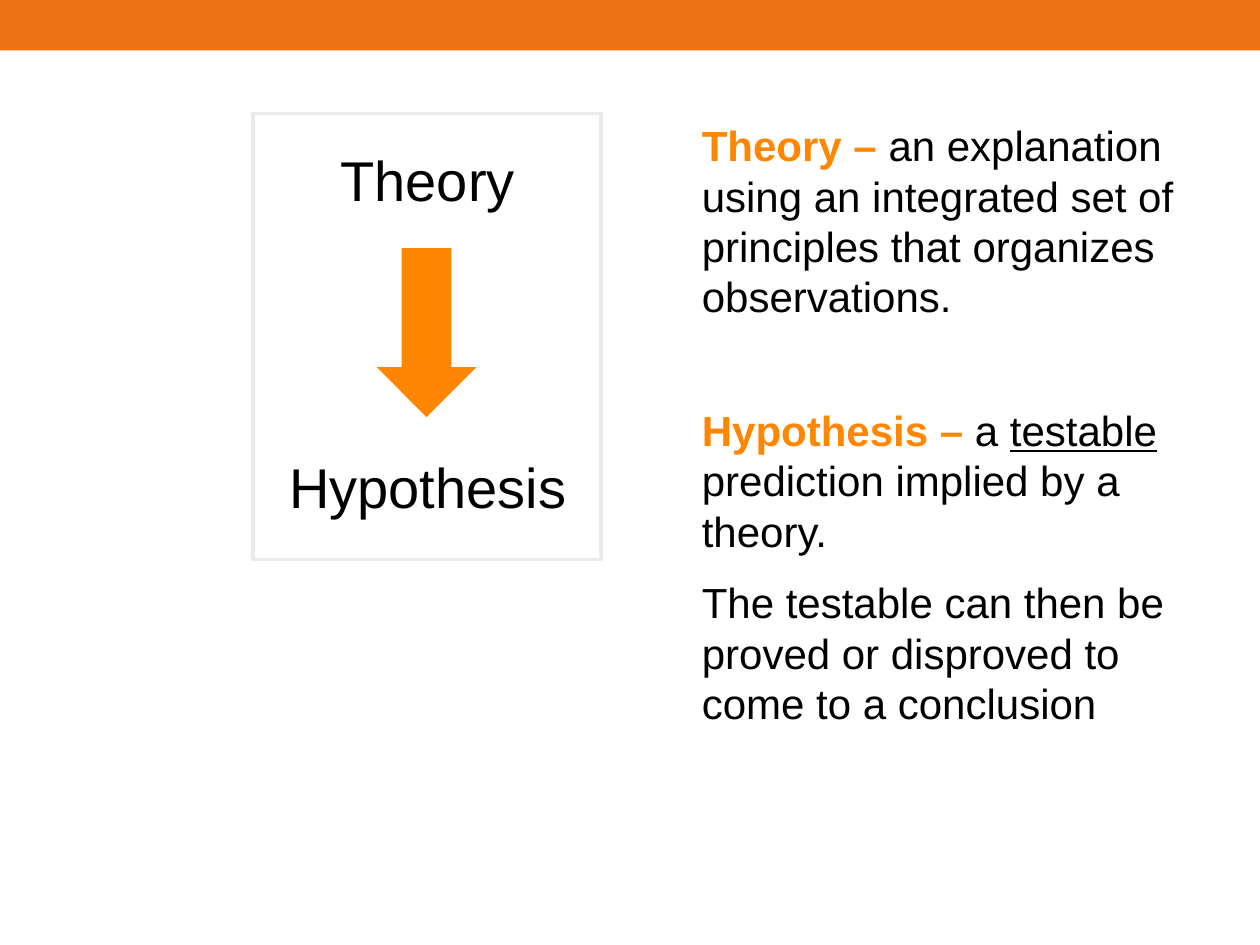
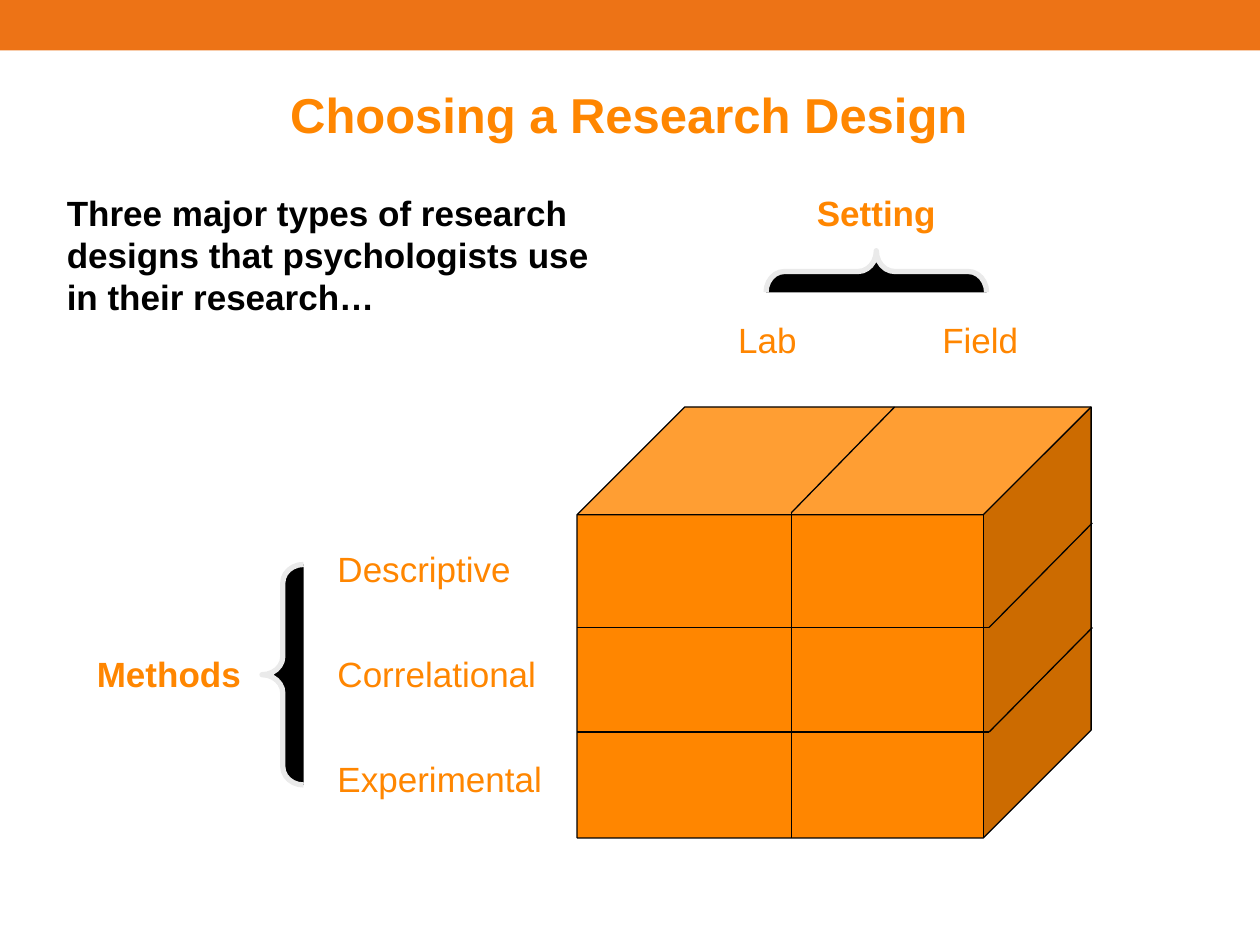
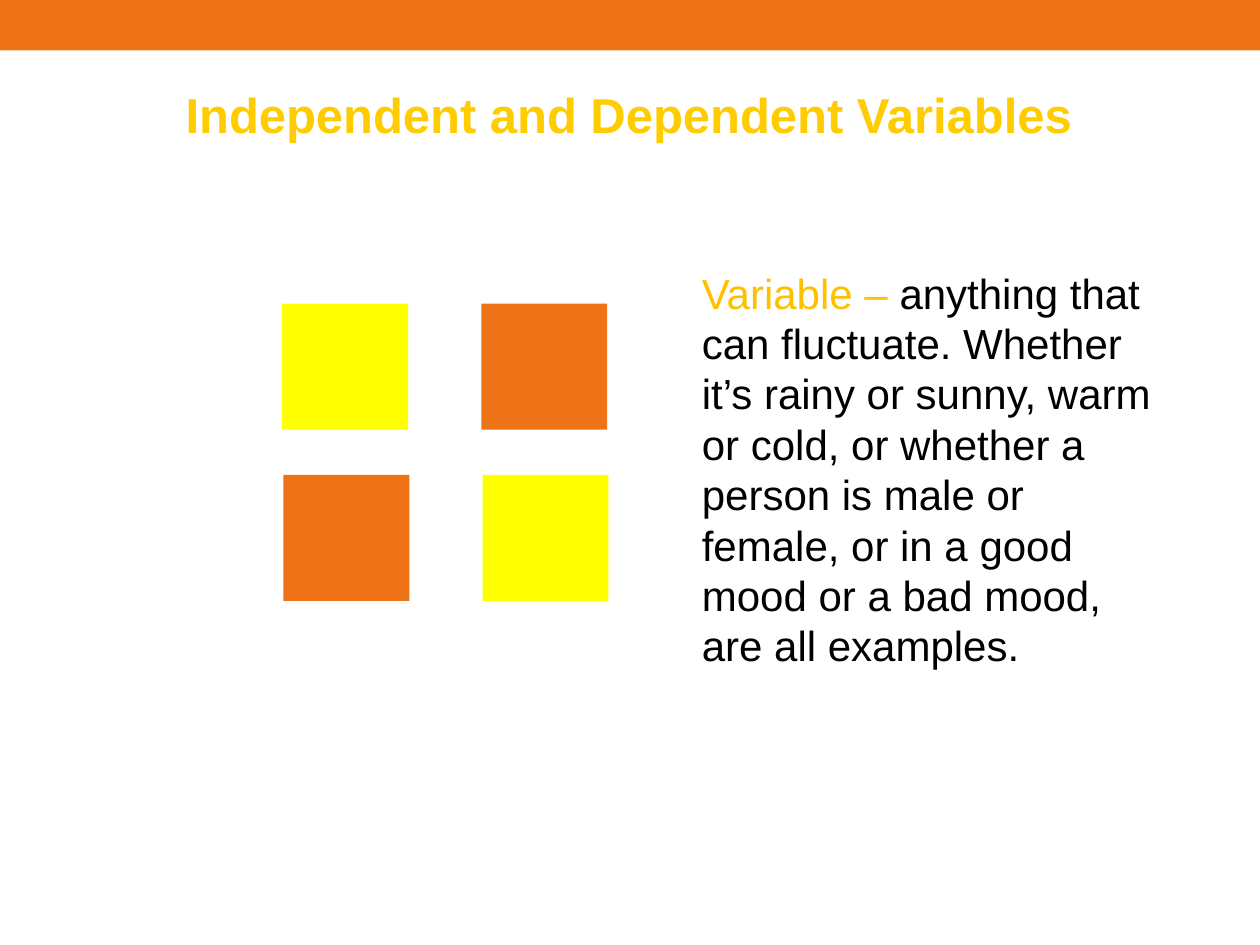
from dataclasses import dataclass
from itertools import pairwise

from lxml import etree
from pptx import Presentation
from pptx.dml.color import RGBColor
from pptx.enum import shapes, text
from pptx.oxml import ns
from pptx.util import Inches, Pt

LEFT, CENTER = text.PP_ALIGN.LEFT, text.PP_ALIGN.CENTER
SHAPE = shapes.MSO_SHAPE


@dataclass(frozen=True)
class Theme:
    font: str = "Arial"
    band: str = "ED7316"
    accent: str = "FF8600"
    gold: str = "FFCC00"
    amber: str = "FFC000"
    yellow: str = "FFFF00"
    ink: str = "000000"
    outline: str = "EAEAEA"
    title_size: int = 28
    concept_size: int = 32
    body_size: int = 24
    label_size: int = 20
    paragraph_gap: int = 12


@dataclass(frozen=True)
class Span:
    """A stretch of text with its own colour and emphasis."""
    text: str
    color: str
    bold: bool = False
    underline: bool = False


class Deck:
    def __init__(self, theme):
        self.theme = theme
        self.presentation = Presentation()
        self.presentation.slide_width = Inches(10)
        self.presentation.slide_height = Inches(7.5)
        self.slide = None

    def new_slide(self, layout_name):
        layout = self.presentation.slide_layouts.get_by_name(layout_name)
        self.slide = self.presentation.slides.add_slide(layout)

    def add_master_band(self):
        """Draw the top band and move it behind everything on the master."""
        band = self.shape(SHAPE.RECTANGLE, 0, 0, 10, 0.4, fill=self.theme.band)
        band._element.nvSpPr.cNvPr.set("id", "20")
        self.presentation.slide_master.shapes._spTree.insert(2, band._element)

    def place(self, shape, left, top, width, height):
        shape.left, shape.top = Inches(left), Inches(top)
        shape.width, shape.height = Inches(width), Inches(height)

    def fill_text(self, frame, paragraphs, size, align=LEFT):
        """Fill a text frame; each paragraph is a list of spans."""
        frame.word_wrap = True
        frame.auto_size = text.MSO_AUTO_SIZE.NONE
        frame.vertical_anchor = text.MSO_ANCHOR.TOP
        for index, spans in enumerate(paragraphs):
            paragraph = frame.add_paragraph() if index else frame.paragraphs[0]
            paragraph.alignment = align
            paragraph.space_before = Pt(self.theme.paragraph_gap if index else 0)
            properties = paragraph._p.get_or_add_pPr()
            properties.set("marL", "0")
            properties.set("indent", "0")
            etree.SubElement(properties, ns.qn("a:buNone"))
            paragraph.font.name = self.theme.font
            paragraph.font.size = Pt(size)
            for span in spans:
                run = paragraph.add_run()
                run.text = span.text
                run.font.color.rgb = RGBColor.from_string(span.color)
                run.font.bold = span.bold
                run.font.underline = span.underline

    def title(self, words, color):
        title = self.slide.shapes.title
        self.place(title, 0.74, 0.62, 8.5, 1.25)
        self.fill_text(title.text_frame, [[Span(words, color, bold=True)]],
                       self.theme.title_size, CENTER)

    def body(self, index, box, paragraphs, size):
        body = self.slide.placeholders[index]
        self.place(body, *box)
        self.fill_text(body.text_frame, paragraphs, size)

    def label(self, words, left, top, width, height=0.43, size=None,
              color=None, bold=False, align=LEFT):
        label = self.slide.shapes.add_textbox(
            Inches(left), Inches(top), Inches(width), Inches(height))
        span = Span(words, color or self.theme.accent, bold)
        self.fill_text(label.text_frame, [[span]],
                       size or self.theme.label_size, align)

    def shape(self, kind, left, top, width, height, fill=None, line=None, weight=0.75):
        shape = self.slide.shapes.add_shape(
            kind, Inches(left), Inches(top), Inches(width), Inches(height))
        shape.shadow.inherit = False
        if fill:
            shape.fill.solid()
            shape.fill.fore_color.rgb = RGBColor.from_string(fill)
        else:
            shape.fill.background()
        if line:
            shape.line.color.rgb = RGBColor.from_string(line)
            shape.line.width = Pt(weight)
        else:
            shape.line.fill.background()
        return shape

    def brace(self, left, top, rotation=0):
        brace = self.shape(SHAPE.LEFT_BRACE, left, top, 0.33, 1.75,
                           self.theme.ink, self.theme.outline, 3)
        brace.adjustments[0] = 0.44
        brace.rotation = rotation

    def seam(self, *points):
        """Join the points in turn with thin lines."""
        for start, end in pairwise(points):
            line = self.slide.shapes.add_connector(
                shapes.MSO_CONNECTOR.STRAIGHT, *map(Inches, start + end))
            line.line.color.rgb = RGBColor.from_string(self.theme.ink)
            line.line.width = Pt(0.75)
            etree.SubElement(line._element.spPr, ns.qn("a:effectLst"))


def theory_slide(deck):
    theme = deck.theme
    deck.new_slide("Two Content")
    heading = deck.slide.shapes.title._element
    heading.getparent().remove(heading)
    deck.add_master_band()

    deck.body(1, (5.47, 0.9, 4.1, 2.2), [[
        Span("Theory – ", theme.accent, bold=True),
        Span("an explanation using an integrated set of principles "
             "that organizes observations.", theme.ink),
    ]], theme.body_size)
    deck.body(2, (5.47, 3.16, 4.1, 3.94), [
        [Span("Hypothesis – ", theme.accent, bold=True),
         Span("a ", theme.ink),
         Span("testable", theme.ink, underline=True),
         Span(" prediction implied by a theory.", theme.ink)],
        [Span("The testable can then be proved or disproved "
              "to come to a conclusion", theme.ink)],
    ], theme.body_size)

    for concept, top in (("Theory", 1.11), ("Hypothesis", 3.54)):
        deck.label(concept, 2.12, top, 2.55, 0.64, theme.concept_size,
                   theme.ink, align=CENTER)
    deck.shape(SHAPE.DOWN_ARROW, 2.99, 1.97, 0.79, 1.34, fill=theme.accent)
    deck.shape(SHAPE.RECTANGLE, 2.01, 0.9, 2.76, 3.54,
               line=theme.outline, weight=2.08)


def design_slide(deck):
    theme = deck.theme
    deck.new_slide("Title and Content")
    deck.title("Choosing a Research Design", theme.accent)
    deck.body(1, (0.43, 1.47, 4.57, 1.11), [[
        Span("Three major types of research designs that psychologists "
             "use in their research…", theme.ink, bold=True),
    ]], theme.label_size)

    deck.shape(SHAPE.CUBE, 4.58, 3.23, 4.08, 3.42, theme.accent, theme.ink)
    for row in (4.98, 5.81):
        deck.seam((4.58, row), (7.85, row), (8.67, row - 0.83))
    deck.seam((6.28, 6.65), (6.28, 4.07), (7.1, 3.23))

    deck.label("Methods", 0.67, 5.13, 1.5, bold=True)
    deck.brace(2.08, 4.48)
    for index, method in enumerate(("Descriptive", "Correlational", "Experimental")):
        deck.label(method, 2.58, 4.3 + index * 0.83, 2.42)

    deck.label("Setting", 6.29, 1.47, 1.33, bold=True, align=CENTER)
    deck.brace(6.79, 1.28, rotation=90)
    deck.label("Lab", 5.63, 2.48, 0.92, align=CENTER)
    deck.label("Field", 7.38, 2.48, 0.92)


def variables_slide(deck):
    theme = deck.theme
    deck.new_slide("Title and Content")
    deck.title("Independent and Dependent Variables", theme.gold)
    deck.body(1, (5.47, 2.07, 3.78, 3.33), [[
        Span("Variable – ", theme.amber),
        Span("anything that can fluctuate. Whether it’s rainy or sunny, warm "
             "or cold, or whether a person is male or female, or in a good "
             "mood or a bad mood, are all examples.", theme.ink),
    ]], theme.body_size)

    square_colors = (theme.yellow, theme.band)
    for row in range(2):
        for column in range(2):
            deck.shape(SHAPE.RECTANGLE, 2.24 + column * 1.58 + row * 0.01,
                       2.41 + row * 1.36, 1, 1,
                       fill=square_colors[(row + column) % 2])


def main():
    deck = Deck(Theme())
    theory_slide(deck)
    design_slide(deck)
    variables_slide(deck)
    deck.presentation.save("out.pptx")


if __name__ == "__main__":
    main()
